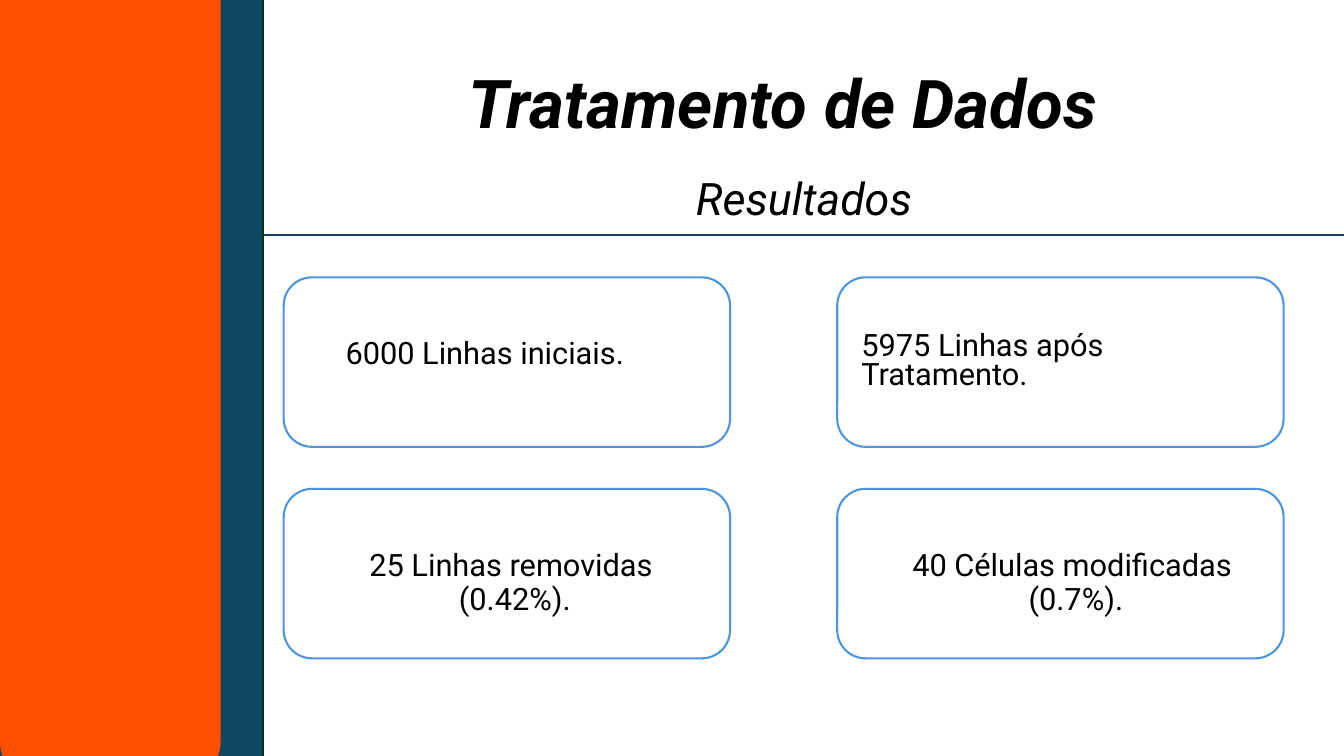
"""Build the data treatment results slide."""
from lxml import etree
from pptx import Presentation
from pptx.dml.color import RGBColor
from pptx.enum.shapes import MSO_CONNECTOR, MSO_SHAPE
from pptx.enum.text import MSO_ANCHOR, PP_ALIGN
from pptx.oxml.ns import qn
from pptx.util import Cm, Pt

RECTANGLE, ROUNDED = MSO_SHAPE.RECTANGLE, MSO_SHAPE.ROUNDED_RECTANGLE
STRAIGHT = MSO_CONNECTOR.STRAIGHT
TOP, BOTTOM = MSO_ANCHOR.TOP, MSO_ANCHOR.BOTTOM
LEFT, CENTER = PP_ALIGN.LEFT, PP_ALIGN.CENTER

COLORS = {
    "band": "104862",
    "band_edge": "0B2F10",
    "panel": "FF5000",
    "divider": "163E64",
    "card": "4E95D9",
    "text": "000000",
}
FONT = "Roboto"
LINE_WIDTH = 1.5
SLIDE_SIZE = (33.87, 19.05)
BAND = (-0.38, -0.3, 7.01, 19.94)
PANEL = (0, -1.02, 5.56, 20.65)
DIVIDER_Y = 5.92

HEADINGS = [
    {"lines": ["Tratamento de Dados"], "frame": (5.13, 1.52, 29.21, 2.21),
     "size": 48, "bold": True},
    {"lines": ["Resultados"], "frame": (6.88, 3.73, 26.77, 2.08),
     "size": 32, "bold": False},
]
RESULTS = [
    {"lines": ["6000 Linhas iniciais."], "frame": (8.46, 8.38, 7.65, 1.27),
     "align": LEFT, "spacing": 0.9},
    {"lines": ["5975 Linhas após Tratamento."], "frame": (21.46, 8.26, 10.59, 1.04),
     "align": LEFT, "spacing": 0.8},
    {"lines": ["25 Linhas removidas", " (0.42%)."], "frame": (7.37, 13.74, 11.02, 1.4),
     "align": CENTER, "spacing": 0.9},
    {"lines": ["40 Células modificadas ", "(0.7%)."], "frame": (21.26, 13.74, 11.71, 1.04),
     "align": CENTER, "spacing": 0.9},
]
COLUMNS = 2
CARD_ORIGIN = (7.15, 6.99)
CARD_PITCH = (13.95, 5.33)
CARD_SIZE = (11.25, 4.27)


def rgb(name):
    """Return a named colour."""
    return RGBColor.from_string(COLORS[name])


def add_box(page, kind, frame, fill=None, edge=None):
    """Add a preset shape with an optional fill and outline."""
    box = page.shapes.add_shape(kind, *map(Cm, frame))
    box.shadow.inherit = False
    if fill:
        box.fill.solid()
        box.fill.fore_color.rgb = rgb(fill)
    else:
        box.fill.background()
    if edge:
        box.line.color.rgb = rgb(edge)
        box.line.width = Pt(LINE_WIDTH)
    else:
        box.line.fill.background()


def add_text(page, lines, frame, size=22, bold=False, italic=False,
             align=CENTER, spacing=0.9, anchor=TOP):
    """Add one paragraph with a line break between its lines."""
    text_frame = page.shapes.add_textbox(*map(Cm, frame)).text_frame
    text_frame.word_wrap = True
    text_frame.vertical_anchor = anchor
    para = text_frame.paragraphs[0]
    para.alignment = align
    para.line_spacing = spacing
    for index, line in enumerate(lines):
        if index:
            para.add_line_break()
        span = para.add_run()
        span.text = line
        span.font.name = FONT
        span.font.size = Pt(size)
        span.font.bold = bold
        span.font.italic = italic
        span.font.color.rgb = rgb("text")


def add_divider(page):
    """Draw the rule under the headings from the band to the slide edge."""
    start = BAND[0] + BAND[2]
    divider = page.shapes.add_connector(
        STRAIGHT, Cm(start), Cm(DIVIDER_Y), Cm(SLIDE_SIZE[0]), Cm(DIVIDER_Y))
    divider.line.color.rgb = rgb("divider")
    divider.line.width = Pt(LINE_WIDTH)
    etree.SubElement(divider._element.spPr, qn("a:effectLst"))


def main():
    """Compose and save the slide."""
    deck = Presentation()
    deck.slide_width, deck.slide_height = map(Cm, SLIDE_SIZE)
    page = deck.slides.add_slide(deck.slide_layouts[6])
    add_box(page, RECTANGLE, BAND, "band", "band_edge")
    add_box(page, ROUNDED, PANEL, "panel")
    for heading in HEADINGS:
        add_text(page, **heading, italic=True, anchor=BOTTOM)
    add_divider(page)
    for index, result in enumerate(RESULTS):
        row, column = divmod(index, COLUMNS)
        left = CARD_ORIGIN[0] + column * CARD_PITCH[0]
        top = CARD_ORIGIN[1] + row * CARD_PITCH[1]
        add_box(page, ROUNDED, (left, top, *CARD_SIZE), edge="card")
        add_text(page, **result)
    deck.save("out.pptx")


if __name__ == "__main__":
    main()
